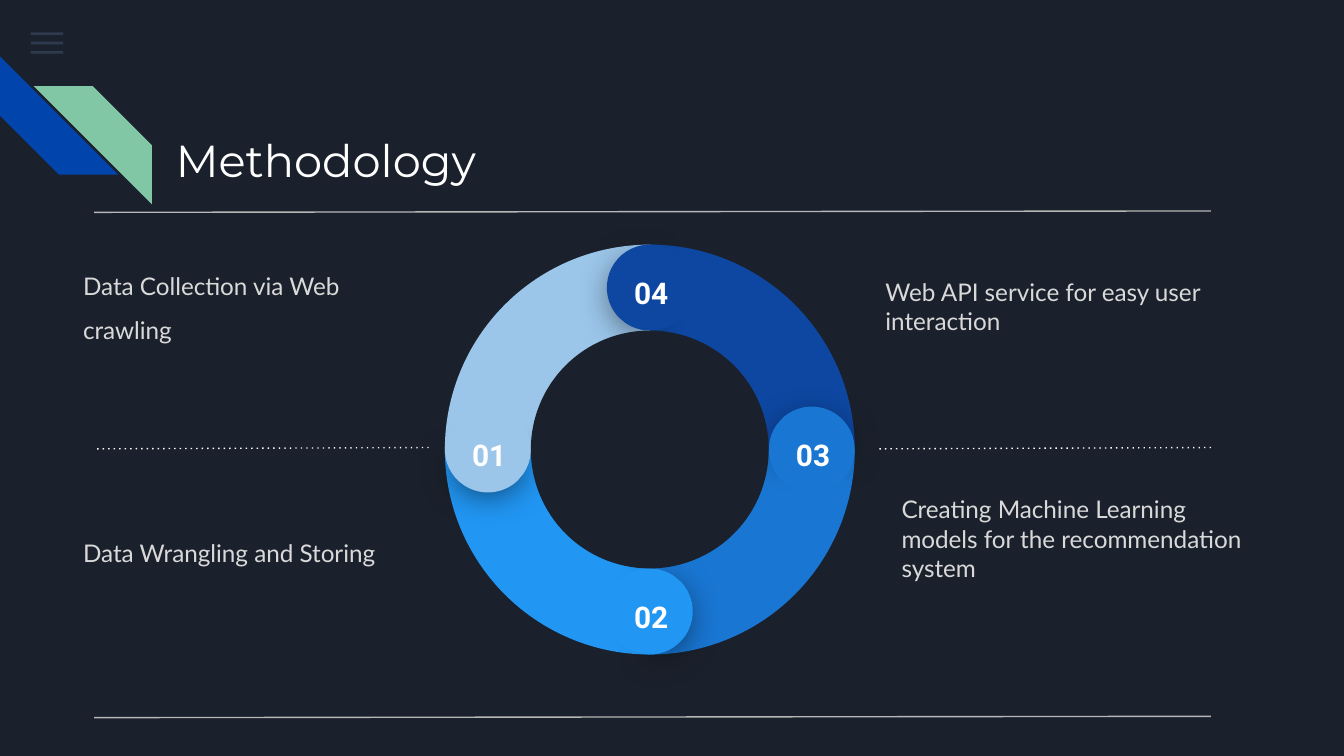
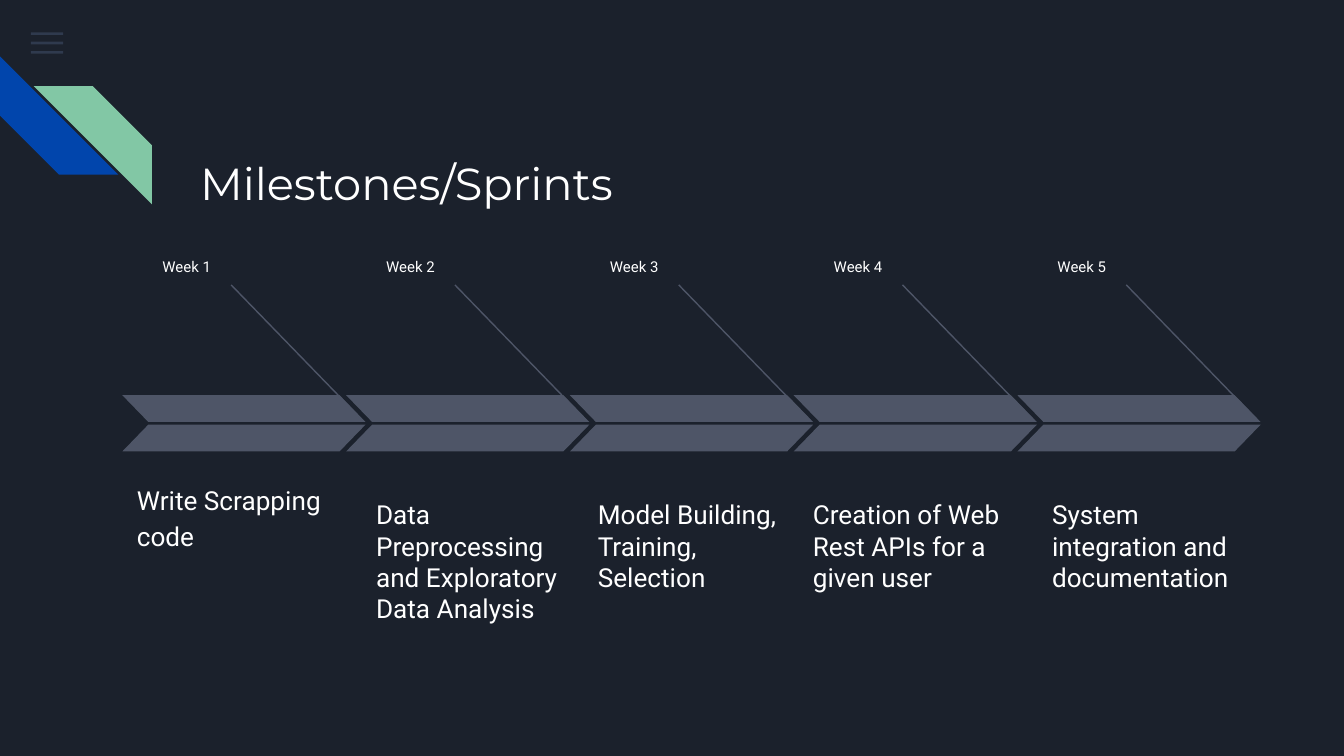
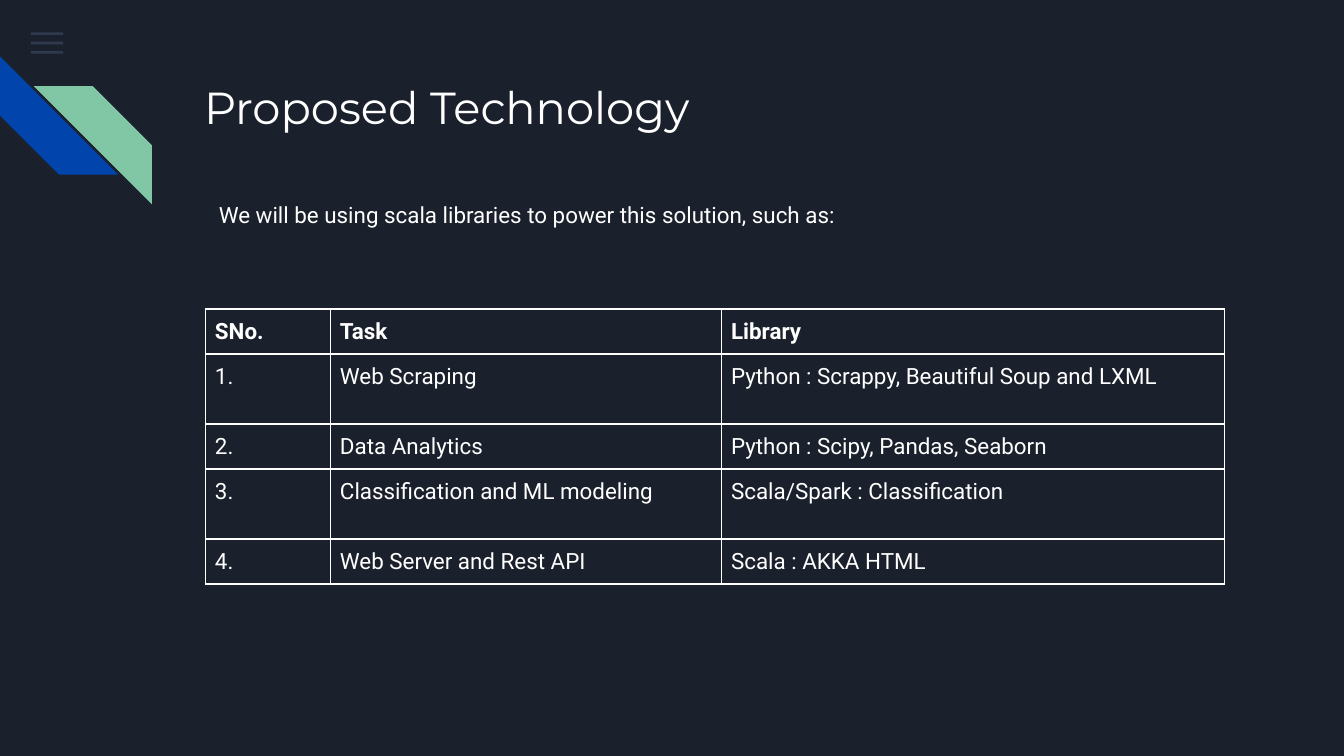
import dataclasses

import lxml.etree
import pptx
import pptx.dml.color
import pptx.enum.dml
import pptx.enum.shapes
import pptx.enum.text
import pptx.oxml.ns
import pptx.util

Pt = pptx.util.Pt
KIND = pptx.enum.shapes.MSO_SHAPE
RGB = pptx.dml.color.RGBColor.from_string
qn = pptx.oxml.ns.qn
MID = pptx.enum.text.MSO_ANCHOR.MIDDLE
TOP = pptx.enum.text.MSO_ANCHOR.TOP

# Grid: 100 columns by 56.25 rows of square cells
CELL = pptx.util.Inches(0.1)
COLS, ROWS = 100, 56.25


@dataclasses.dataclass(frozen=True)
class Theme:
    """Colours, and text looks as (size, font, colour, bold)."""
    night: str = "1B212C"
    white: str = "FFFFFF"
    rule: str = "B7B7B7"
    slate: str = "4E5567"
    menu: str = "55688B"
    blue: str = "0145AC"
    green: str = "82C7A5"
    ring: tuple = ("9BC5E9", "2196F3", "1976D2", "0D47A1")
    title: tuple = (24, "Montserrat", "FFFFFF", False)
    step: tuple = (13, "Lato", "D9D9D9", False)
    mark: tuple = (16, "Roboto", "FFFFFF", True)
    week: tuple = (8, "Roboto", "FFFFFF", False)
    task: tuple = (14, "Roboto", "FFFFFF", False)
    body: tuple = (12, "Roboto", "FFFFFF", False)
    head: tuple = (12, "Roboto", "FFFFFF", True)


theme = Theme()


def form(page, kind, box, tint, turn=0, bends=()):
    """Add a flat preset shape; box is in grid cells."""
    shape = page.shapes.add_shape(kind, *[int(n * CELL) for n in box])
    shape.shadow.inherit = False
    shape.fill.solid()
    shape.fill.fore_color.rgb = RGB(tint)
    shape.line.fill.background()
    shape.rotation = turn % 360
    for i, bend in enumerate(bends):
        shape.adjustments[i] = bend
    return shape


def write(frame, words, look, inset=1):
    """Set one run of text in a frame and return its paragraph."""
    frame.word_wrap = True
    frame.margin_left = frame.margin_right = int(inset * CELL)
    frame.margin_top = frame.margin_bottom = int(inset * CELL)
    para = frame.paragraphs[0]
    run = para.add_run()
    run.text = words
    size, run.font.name, tint, run.font.bold = look
    run.font.size = Pt(size)
    run.font.color.rgb = RGB(tint)
    return para


deck = pptx.Presentation()
deck.slide_width = COLS * CELL
deck.slide_height = int(ROWS * CELL)
back = deck.slide_master.background.fill
back.solid()
back.fore_color.rgb = RGB(theme.night)

# Text boxes: page, box, words, look, line spacing, anchor
notes = []
# Lines: page, ends, colour, dotted
lines = []

# Shared corner art and titles
pages = []
for title, box, lead in (
    ("Methodology", (12.1, 8.9, 77, 6.8), 1),
    ("Milestones/Sprints", (13.9, 10.6, 77, 10), 1),
    ("Proposed Technology", (14.2, 4.3, 77, 10), 1.15),
):
    page = deck.slides.add_slide(deck.slide_layouts[6])
    pages.append(page)
    for i in range(3):
        bar = form(page, KIND.RECTANGLE, (2.3, 2.4 + 0.7 * i, 2.4, 0.2), theme.menu)
        hue = bar.element.spPr.find(".//" + qn("a:srgbClr"))
        lxml.etree.SubElement(hue, qn("a:alpha"), val="36000")
    form(page, KIND.DIAGONAL_STRIPE, (0, 4.2, 8.8, 8.8), theme.blue, 270, [0.5])
    form(page, KIND.DIAGONAL_STRIPE, (2.5, 6.4, 8.8, 8.8), theme.green, 90, [0.5])
    notes.append((page, box, title, theme.title, lead, TOP))
method, miles, tech = pages

# Methodology: rules and step texts
for left, right, row, tint, dots in (
    (7, 90.1, 15.7, theme.rule, False),
    (7, 31.9, 33.3, theme.white, True),
    (65.2, 90.1, 33.3, theme.white, True),
    (7, 90.1, 53.3, theme.rule, False),
):
    lines.append((method, (right, row, left, row + 0.1), tint, dots))

for box, words, lead, anchor in (
    ((5.2, 18.1, 26.7, 12.7), "Data Collection via Web crawling", 1.5, TOP),
    ((5.2, 35, 30.5, 11.2), "Data Wrangling and Storing", 1.5, MID),
    ((66.1, 35.8, 28.4, 11.2),
     "Creating Machine Learning models for the recommendation system", 1, TOP),
    ((64.9, 19.6, 28.4, 11.2), "Web API service for easy user interaction", 1, TOP),
):
    notes.append((method, box, words, theme.step, lead, anchor))

# Methodology: ring of four quarters, each with a round cap
midx, midy, reach = 48.35, 33.45, 12.05
wide, cap, edge, hole = 30.5, 6.4, 5.7, 17.7
for i, tint in enumerate(theme.ring):
    box = (midx - wide / 2, midy - wide / 2, wide, wide)
    form(method, KIND.PIE, box, tint, -90 * i, [108, 162])

sides = ((-1, 0), (0, 1), (1, 0), (0, -1))
for i, (tint, (dx, dy)) in enumerate(zip(theme.ring, sides)):
    x, y = midx + reach * dx, midy + reach * dy
    base = form(method, KIND.PIE, (x - edge / 2, y - edge / 2, edge, edge),
                tint, 39.5 - 90 * i, [189.54, 83.81])
    glow = lxml.etree.SubElement(
        base.element.spPr.find(qn("a:effectLst")), qn("a:outerShdw"),
        blurRad=str(Pt(18)), dist=str(Pt(4)), dir="5400000", rotWithShape="0")
    hue = lxml.etree.SubElement(glow, qn("a:srgbClr"), val="000000")
    lxml.etree.SubElement(hue, qn("a:alpha"), val="55000")
    form(method, KIND.CHORD, (x - cap / 2, y - cap / 2, cap, cap),
         tint, 4.1 - 90 * i, [25, 18.12])
    notes.append((method, (x - 2.7, y - 1.95, 5.6, 2.9), f"0{i + 1}",
                  theme.mark, 1, TOP))
form(method, KIND.OVAL, (midx - hole / 2, midy - hole / 2, hole, hole), theme.night)

# Milestones: one arrow of two slanted halves per week
pitch = 16.65
for i, (left, top, lead, words) in enumerate((
    (9.2, 34.7, 1.15, "Write Scrapping code"),
    (27, 36.1, 1, "Data Preprocessing and Exploratory Data Analysis"),
    (43.5, 36.1, 1, "Model Building, Training, Selection"),
    (59.5, 36.1, 1, "Creation of Web Rest APIs for a given user"),
    (77.3, 36.1, 1, "System integration and documentation"),
)):
    step = pitch * i
    notes.append((miles, (11.1 + step, 18.5, 11, 3.3), f"Week {i + 1}",
                  theme.week, 1, TOP))
    notes.append((miles, (left, top, 17.3, 10.2), words, theme.task, lead, TOP))
    lines.append((miles, (17.2 + step, 21.2, 27 + step, 31.3), theme.slate, False))
    for row, flip in ((29.4, "1"), (31.6, "0")):
        half = form(miles, KIND.PARALLELOGRAM, (9.1 + step, row, 18.1, 2),
                    theme.slate, 0, [0.97])
        half.element.spPr.xfrm.set("flipH", flip)

# Technology: lead-in and table
notes.append((tech, (15.3, 9.8, 52.3, 11.8),
              "We will be using scala libraries to power this solution, such as:",
              theme.body, 1.3, MID))
data = (
    ("SNo.", "Task", "Library"),
    ("1.", "Web Scraping", "Python : Scrappy, Beautiful Soup and LXML"),
    ("2.", "Data Analytics", "Python : Scipy, Pandas, Seaborn"),
    ("3.", "Classification and ML modeling", "Scala/Spark : Classification"),
    ("4.", "Web Server and Rest API", "Scala : AKKA HTML"),
)
wides, highs = (9.3, 29.1, 37.4), (3.2, 5.2, 3.2, 5.2, 3.2)
box = (15.3, 23, sum(wides), sum(highs))
table = tech.shapes.add_table(
    len(data), len(wides), *[int(n * CELL) for n in box]).table
table.first_row = table.horz_banding = False
for col, wide in zip(table.columns, wides):
    col.width = int(wide * CELL)
for r, (row, high) in enumerate(zip(table.rows, highs)):
    row.height = int(high * CELL)
    for cell, words in zip(row.cells, data[r]):
        write(cell.text_frame, words, theme.body if r else theme.head)
        cell.margin_left = cell.margin_right = int(0.7 * CELL)
        cell.margin_top = cell.margin_bottom = int(0.7 * CELL)
        props = cell._tc.get_or_add_tcPr()
        for side in ("a:lnL", "a:lnR", "a:lnT", "a:lnB"):
            edge = lxml.etree.SubElement(props, qn(side), w=str(Pt(1)))
            fill = lxml.etree.SubElement(edge, qn("a:solidFill"))
            lxml.etree.SubElement(fill, qn("a:srgbClr"), val=theme.white)
        cell.fill.background()

# Lines and texts of every page
for page, ends, tint, dots in lines:
    line = page.shapes.add_connector(
        pptx.enum.shapes.MSO_CONNECTOR.STRAIGHT, *[int(n * CELL) for n in ends])
    line.line.color.rgb = RGB(tint)
    line.line.width = Pt(0.75)
    if dots:
        line.line.dash_style = pptx.enum.dml.MSO_LINE.ROUND_DOT
        line._element.spPr.find(".//" + qn("a:prstDash")).set("val", "dot")
    lxml.etree.SubElement(line._element.spPr, qn("a:effectLst"))

for page, box, words, look, lead, anchor in notes:
    frame = page.shapes.add_textbox(*[int(n * CELL) for n in box]).text_frame
    frame.vertical_anchor = anchor
    para = write(frame, words, look)
    para.line_spacing = lead
    if look == theme.mark:
        para.alignment = pptx.enum.text.PP_ALIGN.CENTER

deck.save("out.pptx")
